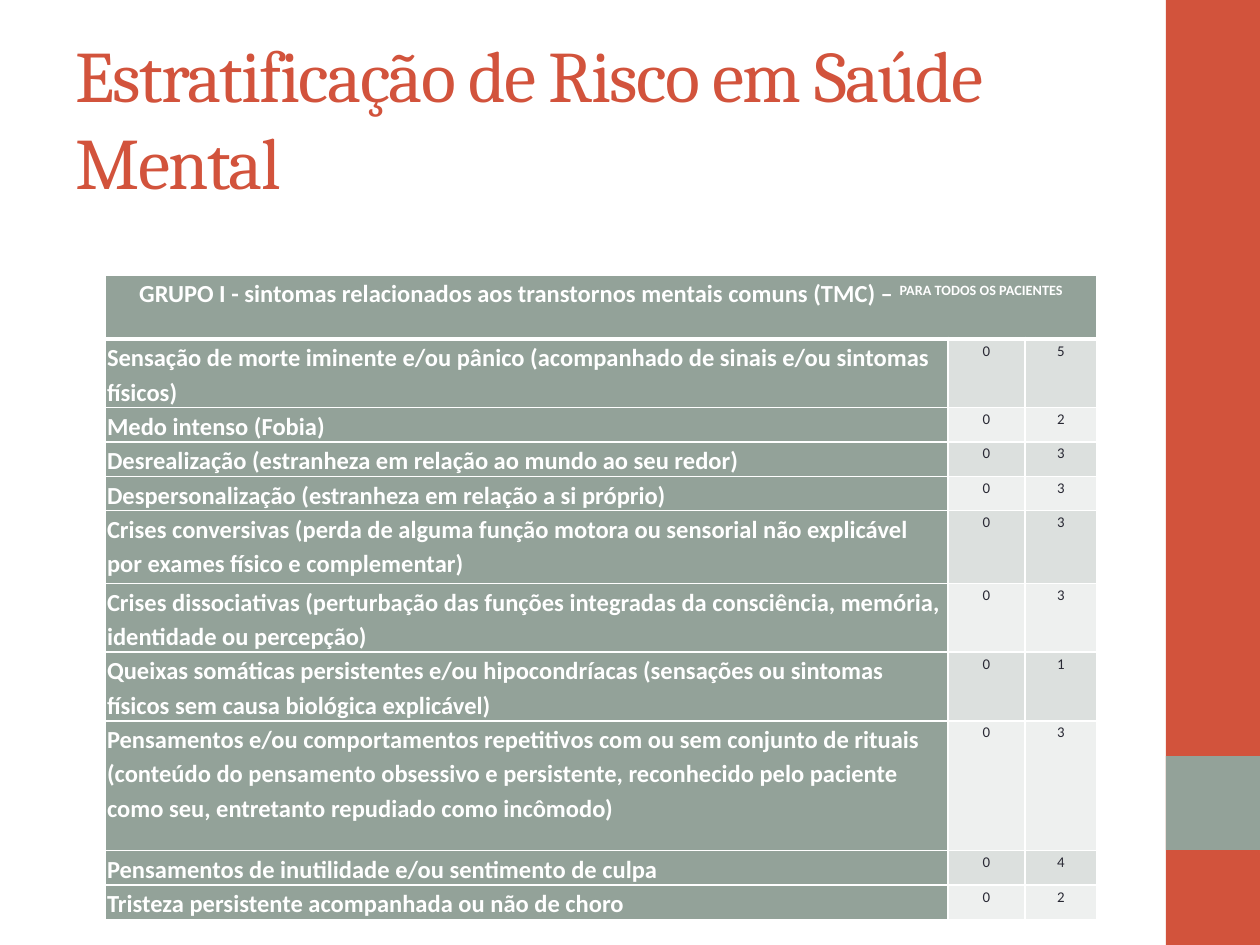
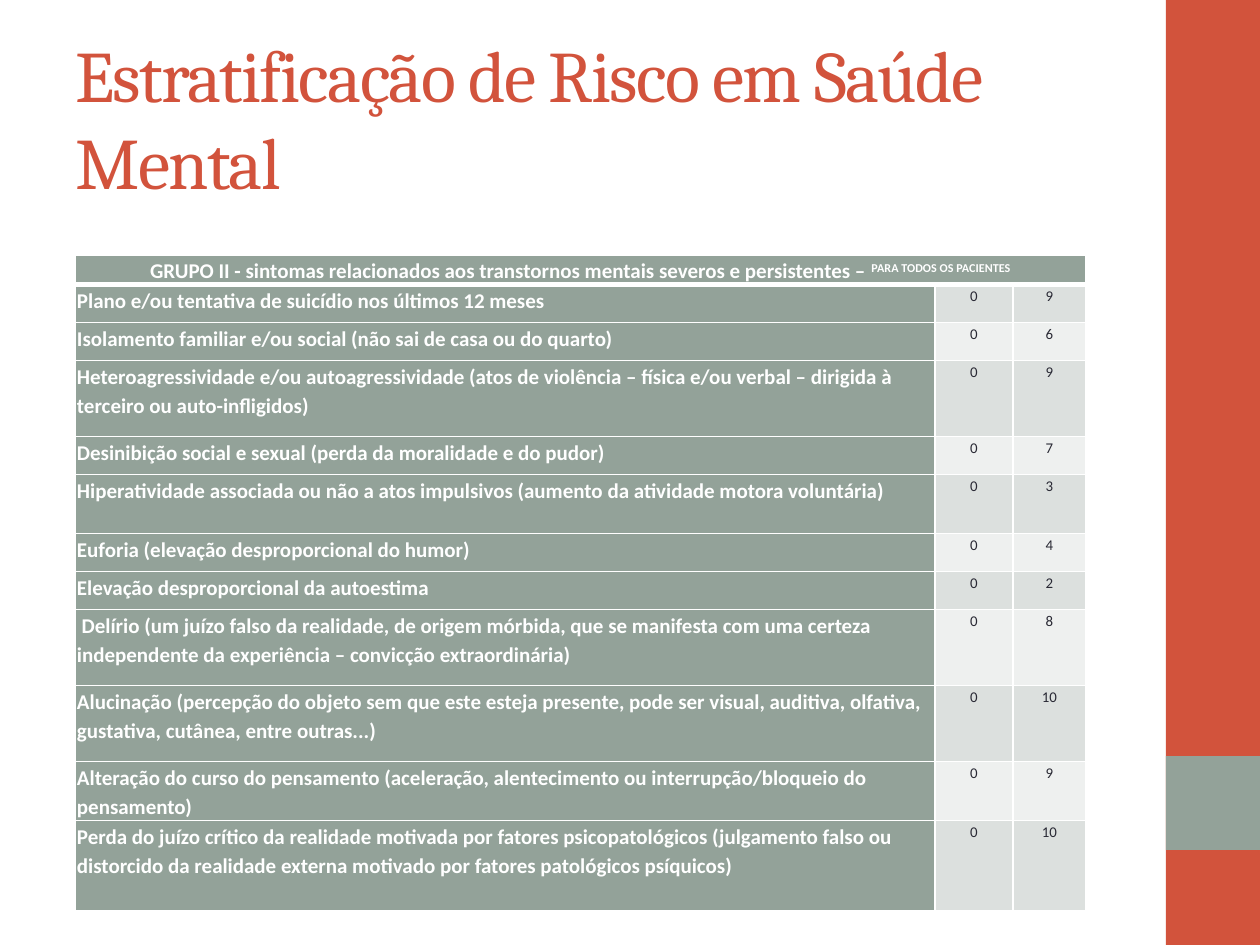
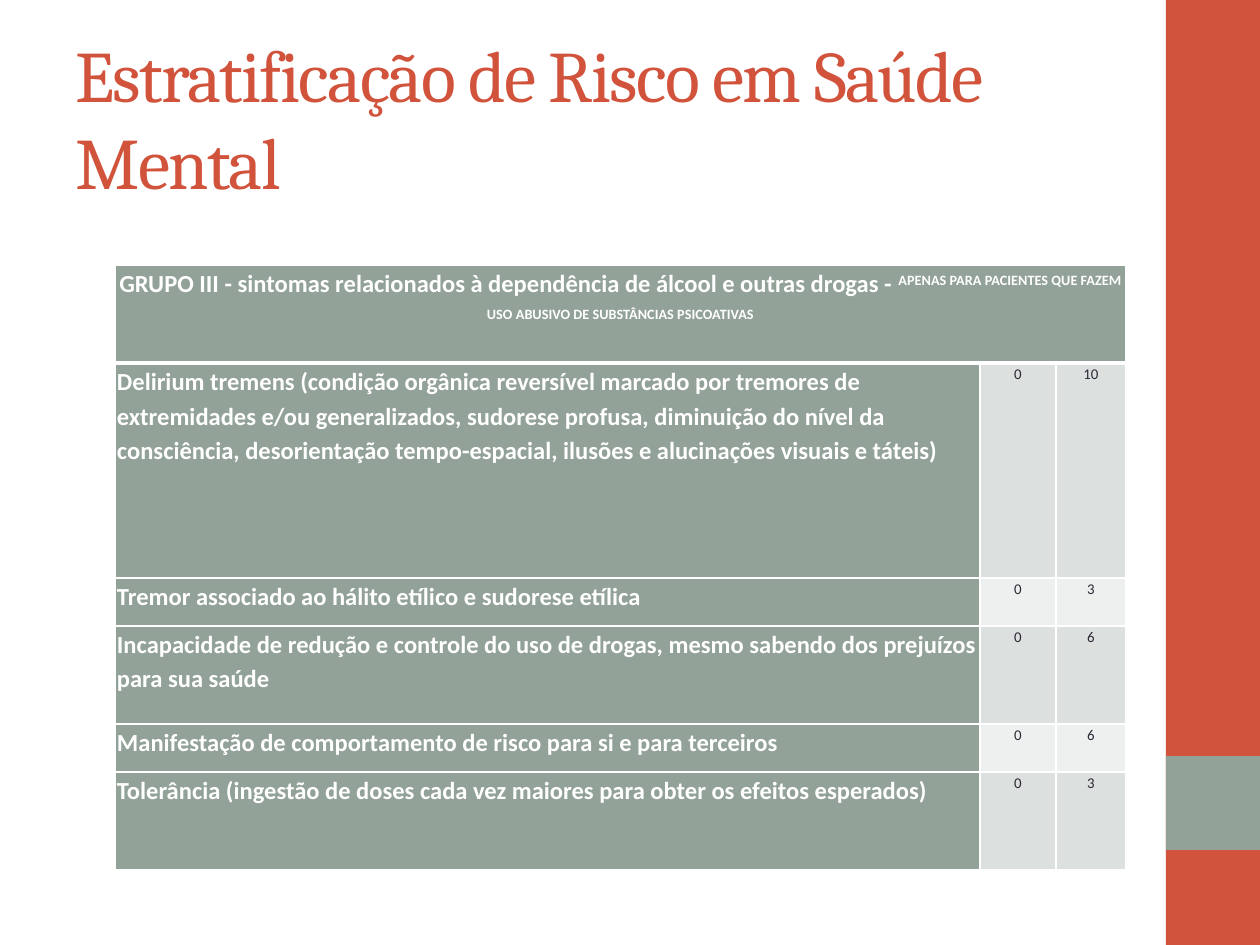
from lxml.etree import SubElement
from pptx import Presentation
from pptx.dml.color import RGBColor
from pptx.enum.shapes import MSO_SHAPE as SHAPE
from pptx.enum.text import MSO_ANCHOR as ANCHOR, MSO_AUTO_SIZE as FIT, PP_ALIGN as ALIGN
from pptx.oxml.ns import qn
from pptx.util import Emu, Pt

RED = RGBColor(0xD2, 0x53, 0x3C)
SAGE = RGBColor(0x93, 0xA2, 0x99)
WHITE = RGBColor(0xFF, 0xFF, 0xFF)
INK = RGBColor(0x29, 0x29, 0x34)
BAND_DARK = RGBColor(0xDC, 0xE0, 0xDE)
BAND_LIGHT = RGBColor(0xEE, 0xF0, 0xEF)
PX = 914400 / 126

TITLE = "Estratificação de Risco em Saúde Mental"
ALL_PATIENTS = "PARA TODOS OS PACIENTES"

GROUPS = [
    dict(
        left=105, top=275, cols=[843, 77, 72], size=14, header_height=64,
        header="GRUPO I - sintomas relacionados aos transtornos mentais comuns (TMC) – ",
        note=ALL_PATIENTS,
        rows=[
            (64, "Sensação de morte iminente e/ou pânico (acompanhado de sinais e/ou sintomas físicos)", 5),
            (32, "Medo intenso (Fobia)", 2),
            (32, "Desrealização (estranheza em relação ao mundo ao seu redor)", 3),
            (32, "Despersonalização (estranheza em relação a si próprio)", 3),
            (73, "Crises conversivas (perda de alguma função motora ou sensorial não explicável "
                 "por exames físico e complementar)", 3),
            (64, "Crises dissociativas (perturbação das funções integradas da consciência, memória, "
                 "identidade ou percepção)", 3),
            (64, "Queixas somáticas persistentes e/ou hipocondríacas (sensações ou sintomas "
                 "físicos sem causa biológica explicável)", 1),
            (130, "Pensamentos e/ou comportamentos repetitivos com ou sem conjunto de rituais "
                  "(conteúdo do pensamento obsessivo e persistente, reconhecido pelo paciente "
                  "como seu, entretanto repudiado como incômodo)", 3),
            (32, "Pensamentos de inutilidade e/ou sentimento de culpa", 4),
            (32, "Tristeza persistente acompanhada ou não de choro", 2),
        ],
    ),
    dict(
        left=75, top=255, cols=[860, 78, 73], size=12, header_height=29,
        header="GRUPO II - sintomas relacionados aos transtornos mentais severos e persistentes – ",
        note=ALL_PATIENTS,
        rows=[
            (38, "Plano e/ou tentativa de suicídio nos últimos 12 meses", 9),
            (38, "Isolamento familiar e/ou social (não sai de casa ou do quarto)", 6),
            (76, "Heteroagressividade e/ou autoagressividade (atos de violência – física e/ou verbal – "
                 "dirigida à terceiro ou auto-infligidos)", 9),
            (38, "Desinibição social e sexual (perda da moralidade e do pudor)", 7),
            (59, "Hiperatividade associada ou não a atos impulsivos (aumento da atividade motora voluntária)", 3),
            (38, "Euforia (elevação desproporcional do humor)", 4),
            (38, "Elevação desproporcional da autoestima", 2),
            (76, " Delírio (um juízo falso da realidade, de origem mórbida, que se manifesta com uma certeza "
                 "independente da experiência – convicção extraordinária)", 8),
            (76, "Alucinação (percepção do objeto sem que este esteja presente, pode ser visual, auditiva, "
                 "olfativa, gustativa, cutânea, entre outras...)", 10),
            (59, "Alteração do curso do pensamento (aceleração, alentecimento ou interrupção/bloqueio "
                 "do pensamento)", 9),
            (90, "Perda do juízo crítico da realidade motivada por fatores psicopatológicos (julgamento falso "
                 "ou distorcido da realidade externa motivado por fatores patológicos psíquicos)", 10),
        ],
    ),
    dict(
        left=115, top=265, cols=[865, 76, 70], size=14, header_height=98,
        header="GRUPO III - sintomas relacionados à dependência de álcool e outras drogas - ",
        note="APENAS PARA PACIENTES QUE FAZEM USO ABUSIVO DE SUBSTÂNCIAS PSICOATIVAS",
        rows=[
            (215, "Delirium tremens (condição orgânica reversível marcado por tremores de extremidades "
                  "e/ou generalizados, sudorese profusa, diminuição do nível da consciência, desorientação "
                  "tempo-espacial, ilusões e alucinações visuais e táteis)", 10),
            (48, "Tremor associado ao hálito etílico e sudorese etílica", 3),
            (98, "Incapacidade de redução e controle do uso de drogas, mesmo sabendo dos prejuízos "
                 "para sua saúde", 6),
            (48, "Manifestação de comportamento de risco para si e para terceiros", 6),
            (98, "Tolerância (ingestão de doses cada vez maiores para obter os efeitos esperados)", 3),
        ],
    ),
]


def px(n):
    return Emu(round(n * PX))


def add_text(tf, text, size, color, font="Calibri", bold=False, align=ALIGN.LEFT, line=None, **attrs):
    p = tf.paragraphs[0]
    p.alignment = align
    p.line_spacing = line
    r = p.add_run()
    r.text = text
    r.font.name = font
    r.font.size = Pt(size)
    r.font.bold = bold
    r.font.color.rgb = color
    for name, value in attrs.items():
        r.font._element.set(name, str(value))


prs = Presentation()
prs.slide_width, prs.slide_height = px(1260), px(945)
layout = prs.slide_layouts[5]

for number, group in enumerate(GROUPS):
    s = prs.slides.add_slide(layout)

    if number == 0:
        for index, (top, height, color) in enumerate([(0, 945, RED), (756, 94, SAGE)]):
            sp = s.shapes.add_shape(SHAPE.RECTANGLE, px(1166), px(top), px(94), px(height))
            sp.shadow.inherit = False
            sp.fill.solid()
            sp.fill.fore_color.rgb = color
            sp.line.fill.background()
            layout.shapes.element.insert(2 + index, sp.element)

    title = s.shapes.title
    title.left, title.top, title.width, title.height = px(63), px(38), px(1050), px(158)
    tf = title.text_frame
    tf.auto_size = FIT.NONE
    tf.word_wrap = True
    tf.vertical_anchor = ANCHOR.MIDDLE
    add_text(tf, TITLE, 41.4, RED, font="Cambria", spc=-100)

    heights = [group["header_height"]] + [height for height, _, _ in group["rows"]]
    table = s.shapes.add_table(len(heights), 3, px(group["left"]), px(group["top"]),
                               px(sum(group["cols"])), px(sum(heights))).table
    for col, width in zip(table.columns, group["cols"]):
        col.width = px(width)
    for row, height in zip(table.rows, heights):
        row.height = px(height)

    for i, row in enumerate(table.rows):
        for j, cell in enumerate(row.cells):
            cell.margin_left = cell.margin_right = px(2)
            cell.margin_top = cell.margin_bottom = 0
            tcPr = cell._tc.get_or_add_tcPr()
            for side in "LRTB":
                thick = (i, side) in [(0, "B"), (1, "T")]
                ln = SubElement(tcPr, qn(f"a:ln{side}"), w=str(Pt(3 if thick else 1)))
                fill = SubElement(ln, qn("a:solidFill"))
                SubElement(fill, qn("a:srgbClr"), val=str(WHITE))
            cell.fill.solid()
            if i == 0 or j == 0:
                cell.fill.fore_color.rgb = SAGE
            else:
                cell.fill.fore_color.rgb = BAND_DARK if i % 2 else BAND_LIGHT

    header = table.cell(0, 0)
    header.merge(table.cell(0, 2))
    size = group["size"]
    add_text(header.text_frame, group["header"], size, WHITE, bold=True, align=ALIGN.CENTER, line=1.15)
    add_text(header.text_frame, group["note"], size, WHITE, bold=True, align=ALIGN.CENTER, line=1.15,
             baseline=30000)

    for i, (_, symptom, score) in enumerate(group["rows"], 1):
        add_text(table.cell(i, 0).text_frame, symptom, size, WHITE, bold=True, line=1.15)
        for j, value in enumerate([0, score], 1):
            add_text(table.cell(i, j).text_frame, str(value), 8.5, INK, align=ALIGN.CENTER, line=1.15)

prs.save("out.pptx")
